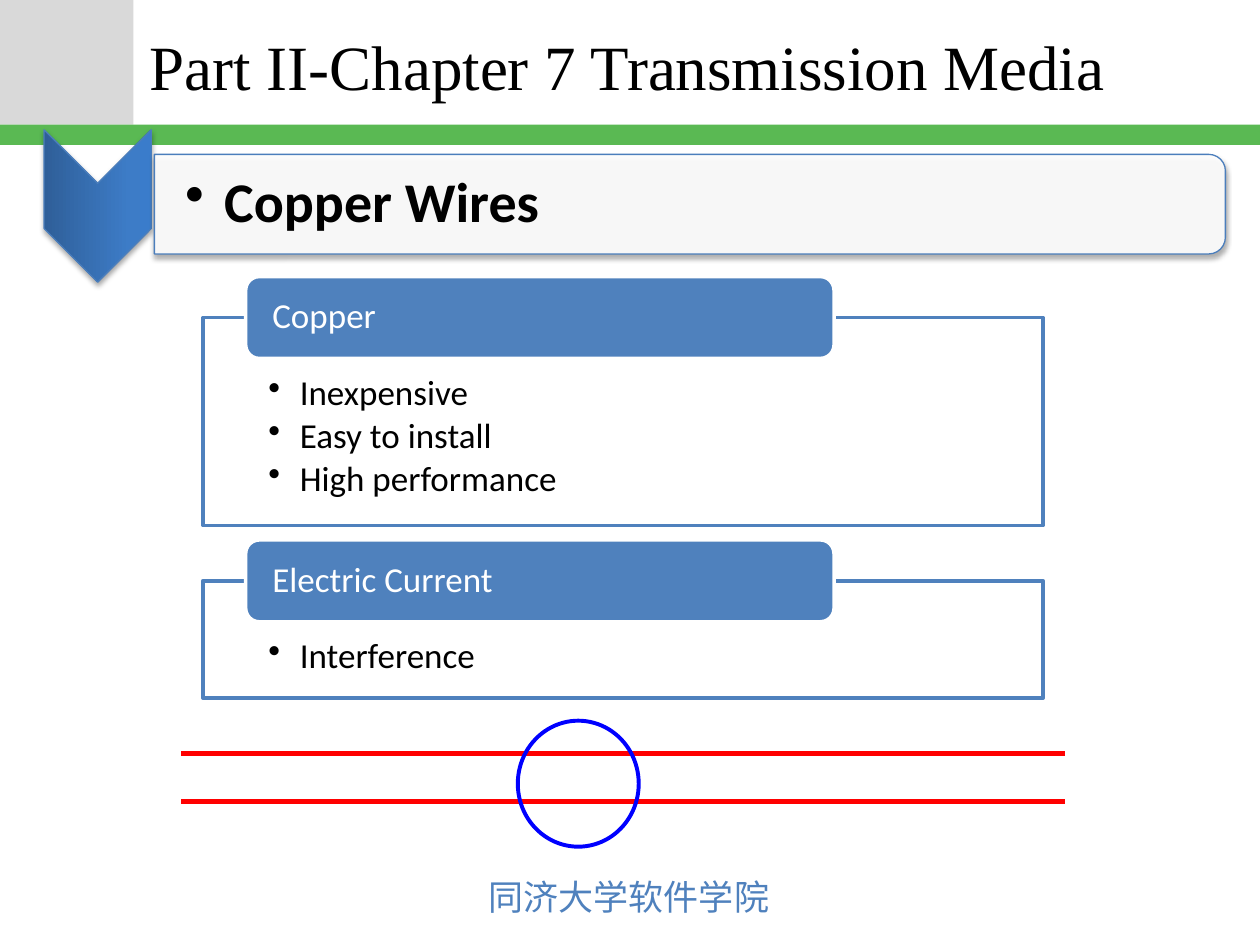
import pptx
import pptx.util
import pptx.dml.color
import pptx.enum.shapes
import pptx.enum.text
import pptx.oxml
import pptx.oxml.ns

presentation = pptx.Presentation()
presentation.slide_width = pptx.util.Inches(10)
presentation.slide_height = pptx.util.Inches(7.5)
slide = presentation.slides.add_slide(presentation.slide_layouts[6])
column = presentation.slide_width / 100
row = presentation.slide_height / 75

shapes = pptx.enum.shapes.MSO_SHAPE
anchors = pptx.enum.text.MSO_ANCHOR
rgb = pptx.dml.color.RGBColor.from_string
qn = pptx.oxml.ns.qn
namespace = pptx.oxml.ns.nsdecls("a")
colors = {
    "grey": "D9D9D9", "green": "5AB953", "blue": "4F81BD", "outline": "4B7EBC",
    "white": "FFFFFF", "black": "000000", "wire": "FF0000", "ring": "0000FF",
    "dark": "2F5F99", "middle": "3D7CC7", "light": "3A7CCB",
}
margins = ("margin_left", "margin_top", "margin_right", "margin_bottom")


def add_box(kind, left, top, width, height, fill=None, line=None, points=0, opacity=100):
    place = [int(left * column), int(top * row), int(width * column), int(height * row)]
    if kind is None:
        return slide.shapes.add_textbox(*place)
    shape = slide.shapes.add_shape(kind, *place)
    shape.shadow.inherit = False
    if fill:
        shape.fill.solid()
        shape.fill.fore_color.rgb = rgb(colors[fill])
        if opacity < 100:
            color = shape.fill._xPr.find(qn("a:solidFill"))[0]
            color.append(pptx.oxml.parse_xml(f'<a:alpha {namespace} val="{opacity * 1000}"/>'))
    else:
        shape.fill.background()
    if line:
        shape.line.color.rgb = rgb(colors[line])
        shape.line.width = pptx.util.Pt(points)
    else:
        shape.line.fill.background()
    return shape


def write_text(shape, lines, size, color, font="Calibri", bold=False, insets=(0.1, 0.05, 0.1, 0.05),
               anchor=anchors.MIDDLE, wrap=True, spacing=1, after=0, hanging=0):
    frame = shape.text_frame
    settings = {"word_wrap": wrap, "vertical_anchor": anchor}
    settings.update(zip(margins, map(pptx.util.Inches, insets)))
    for name, value in settings.items():
        setattr(frame, name, value)
    for index, text in enumerate(lines):
        paragraph = frame.add_paragraph() if index else frame.paragraphs[0]
        paragraph_format = {
            "alignment": pptx.enum.text.PP_ALIGN.LEFT, "line_spacing": spacing,
            "space_after": pptx.util.Pt(after), "level": 1 if hanging else 0,
        }
        for name, value in paragraph_format.items():
            setattr(paragraph, name, value)
        if hanging:
            properties = paragraph._p.get_or_add_pPr()
            properties.set("marL", str(pptx.util.Inches(hanging)))
            properties.set("indent", str(-pptx.util.Inches(hanging)))
            properties.append(pptx.oxml.parse_xml(f'<a:buChar {namespace} char="•"/>'))
        run = paragraph.add_run()
        run.text = text
        for name, value in {"size": pptx.util.Pt(size), "name": font, "bold": bold}.items():
            setattr(run.font, name, value)
        run.font.color.rgb = rgb(colors[color])
        run._r.get_or_add_rPr().append(
            pptx.oxml.parse_xml(f'<a:ea {namespace} typeface="{font}"/>'))


add_box(shapes.RECTANGLE, 0, 0, 10.6, 9.9, "grey")
add_box(shapes.RECTANGLE, 0, 9.9, 100, 1.6, "green")
footer = add_box(None, 37.8, 69, 24.5, 4.4)
write_text(footer, ["同济大学软件学院"], 20, "blue", "Noto Sans CJK JP", anchor=anchors.TOP, wrap=False)
title = add_box(None, 10.9, 0.3, 82.4, 9.8)
write_text(title, ["Part II-Chapter 7 Transmission Media"], 36, "black", "Times New Roman")

chevron = add_box(shapes.CHEVRON, 1.7, 12.1, 12.1, 8.5, "blue", "outline", 0.75)
stops = "".join(
    f'<a:gs pos="{share * 1000}"><a:srgbClr val="{colors[name]}"/></a:gs>'
    for share, name in ((0, "dark"), (80, "middle"), (100, "light")))
solid = chevron.fill._xPr.find(qn("a:solidFill"))
solid.getparent().replace(solid, pptx.oxml.parse_xml(
    f'<a:gradFill {namespace} rotWithShape="1"><a:gsLst>{stops}</a:gsLst>'
    '<a:lin ang="16200000" scaled="0"/></a:gradFill>'))
banner = add_box(shapes.ROUND_2_SAME_RECTANGLE, 50.8, -26.3, 7.9, 85, "white", "outline", 0.75, 90)
for shape in (chevron, banner):
    shape.rotation = 90
    shape._element.spPr.find(qn("a:effectLst")).append(pptx.oxml.parse_xml(
        f'<a:outerShdw {namespace} blurRad="{pptx.util.Pt(3.1)}" dist="{pptx.util.Pt(1.8)}" '
        f'dir="5400000" rotWithShape="0"><a:srgbClr val="{colors["black"]}">'
        '<a:alpha val="35000"/></a:srgbClr></a:outerShdw>'))
heading = add_box(None, 12.2, 12.7, 84.7, 7.1)
write_text(heading, ["Copper Wires"], 32, "black", bold=True, insets=(0.25, 0.02, 0.02, 0.02),
           spacing=0.9, after=4.8, hanging=0.31)

panels = [
    ("Copper", 25.2, 16.5, ["Inexpensive", "Easy to install", "High performance"]),
    ("Electric Current", 46.1, 9.3, ["Interference"]),
]
for name, top, height, points in panels:
    panel = add_box(shapes.RECTANGLE, 16.1, top, 66.7, height, "white", "blue", 2, 90)
    write_text(panel, points, 20, "black", insets=(0.52, 0.46, 0.52, 0.16), anchor=anchors.TOP,
               spacing=0.9, after=3, hanging=0.25)
    label = add_box(shapes.ROUNDED_RECTANGLE, 19.5, top - 3.25, 46.7, 6.5, "blue", "white", 2)
    write_text(label, [name], 20, "white", insets=(0.18, 0, 0.18, 0), spacing=0.9, after=7)

for height in (59.8, 63.6):
    wire = slide.shapes.add_connector(
        pptx.enum.shapes.MSO_CONNECTOR.STRAIGHT,
        int(14.4 * column), int(height * row), int(84.5 * column), int(height * row))
    wire.line.color.rgb = rgb(colors["wire"])
    wire.line.width = pptx.util.Pt(3)
    wire._element.spPr.append(pptx.oxml.parse_xml(f"<a:effectLst {namespace}/>"))
add_box(shapes.OVAL, 41.1, 57.2, 9.6, 10, None, "ring", 2.25)

presentation.save("out.pptx")
